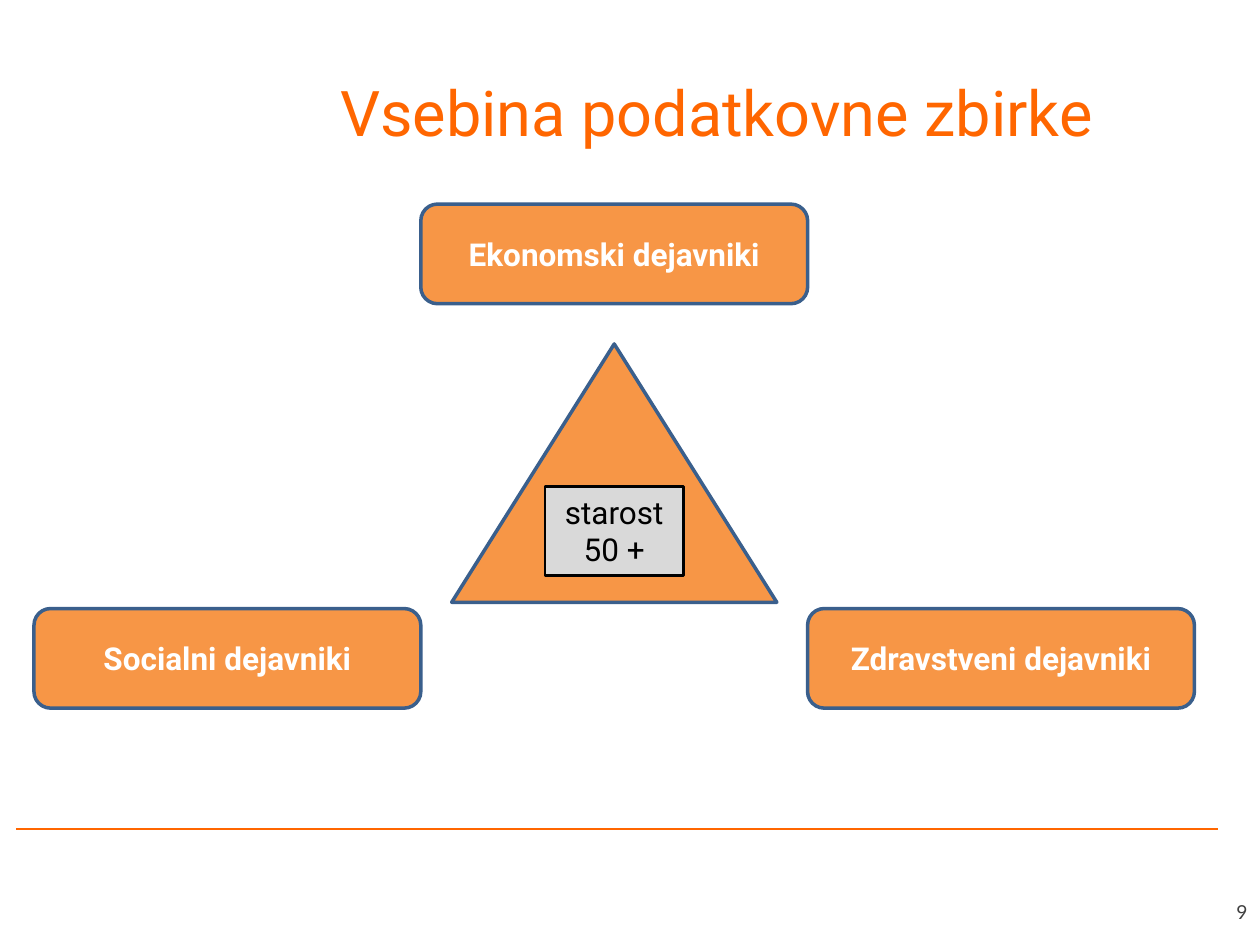
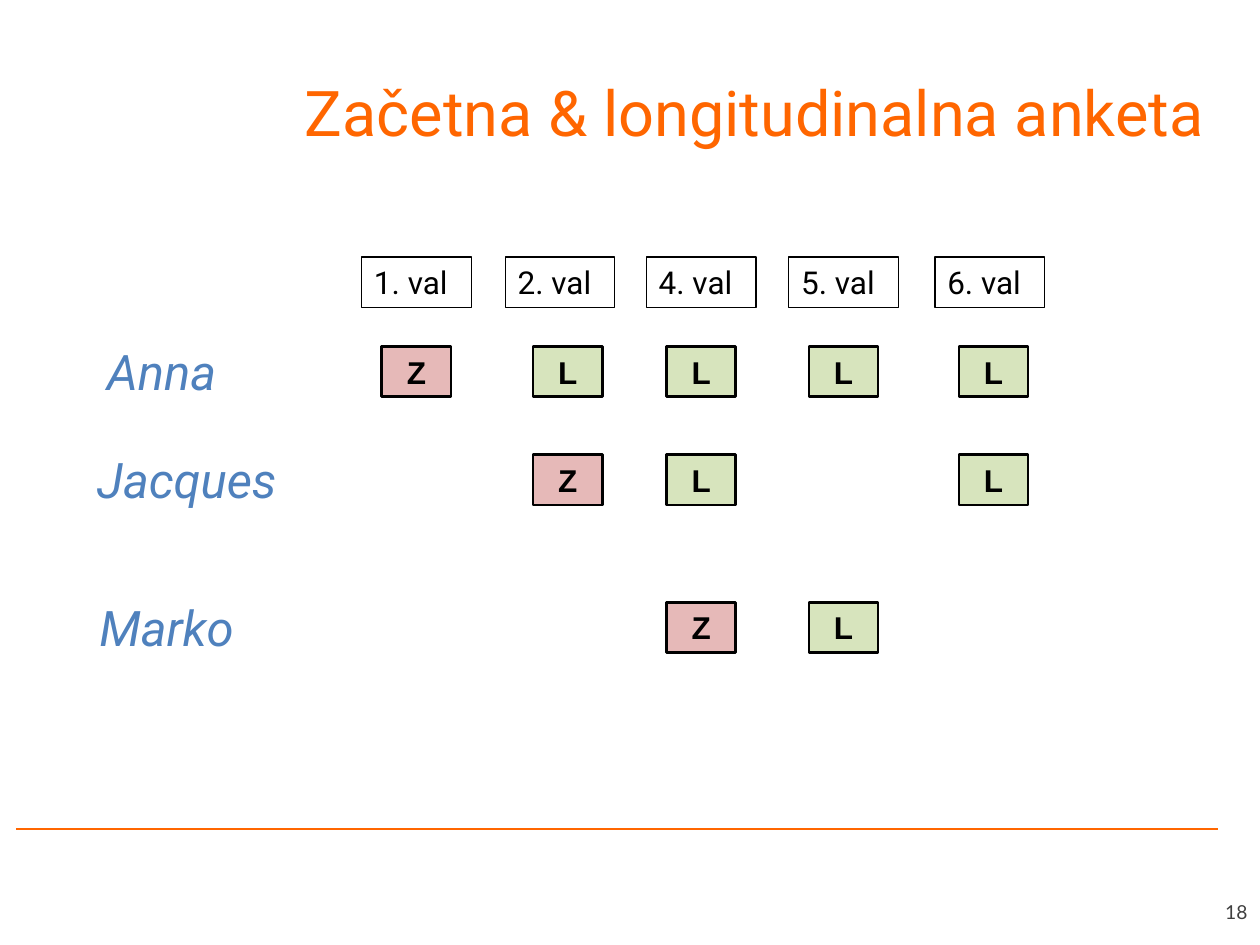
"""Build two slides on the content and the waves of a survey database."""
from lxml.etree import SubElement
from pptx import Presentation
from pptx.dml.color import RGBColor
from pptx.enum.shapes import MSO_CONNECTOR, MSO_SHAPE
from pptx.enum.text import MSO_ANCHOR, MSO_AUTO_SIZE, PP_ALIGN
from pptx.oxml.ns import qn
from pptx.util import Inches, Pt

ORANGE, BLACK, WHITE, BLUE, GRAY = "FF6600", "000000", "FFFFFF", "4F81BD", "404040"
FACTOR_FILL, FACTOR_LINE, AGE_FILL = "F79646", "3A5F8C", "D9D9D9"
MARK_FILLS = {"Z": "E6B9B8", "L": "D7E4BD"}

FACTORS_TITLE = ("Vsebina podatkovne zbirke", 2.6, 6.89)
FACTORS_PAGE = "9"
FACTORS = [
    ("Ekonomski dejavniki", 1, 1.62),
    ("Socialni dejavniki", 0, 4.83),
    ("Zdravstveni dejavniki", 2, 4.83),
]
AGE = "starost 50 +"

WAVES_TITLE = ("Začetna & longitudinalna anketa", 2.32, 7.35)
WAVES_PAGE = "18"
WAVES = [
    ("1. val", 2.87, 3.03),
    ("2. val", 4.01, 4.23),
    ("4. val", 5.13, 5.29),
    ("5. val", 6.26, 6.42),
    ("6. val", 7.42, 7.61),
]
PEOPLE = [
    ("Anna", 0.75, 2.66, "ZLLLL"),
    ("Jacques", 0.67, 3.52, " ZL L"),
    ("Marko", 0.69, 4.69, "  ZL "),
]

FACTOR_LEFT, FACTOR_WIDTH, FACTOR_HEIGHT = 0.27, 3.07, 0.79
TRIANGLE_WIDTH, AGE_WIDTH = 2.58, 1.1
WAVE_TOP, WAVE_WIDTH, BOX_HEIGHT = 2.04, 0.87, 0.4
MARK_WIDTH, MARK_DROP = 0.55, 0.09


def color(value):
    return RGBColor.from_string(value)


def write(shape, text, size=18, font="Roboto", ink=BLACK, align=PP_ALIGN.LEFT,
          anchor=MSO_ANCHOR.TOP, bold=False, italic=False):
    frame = shape.text_frame
    frame.text = text
    frame.word_wrap = True
    frame.auto_size = MSO_AUTO_SIZE.NONE
    frame.vertical_anchor = anchor
    paragraph = frame.paragraphs[0]
    paragraph.alignment = align
    style = paragraph.runs[0].font
    style.size, style.name = Pt(size), font
    style.bold, style.italic = bold, italic
    style.color.rgb = color(ink)


def add_text(slide, box, text, **style):
    write(slide.shapes.add_textbox(*map(Inches, box)), text, **style)


def add_box(slide, kind, box, fill, line, width):
    shape = slide.shapes.add_shape(kind, *map(Inches, box))
    shape.shadow.inherit = False
    if fill:
        shape.fill.solid()
        shape.fill.fore_color.rgb = color(fill)
    else:
        shape.fill.background()
    shape.line.color.rgb = color(line)
    shape.line.width = Pt(width)
    return shape


def add_slide(presentation, title, page):
    slide = presentation.slides.add_slide(presentation.slide_layouts[5])
    text, left, width = title
    heading = slide.shapes.title
    heading.left, heading.top = Inches(left), Inches(0.53)
    heading.width, heading.height = Inches(width), Inches(0.71)
    write(heading, text, size=36, ink=ORANGE)
    rule = slide.shapes.add_connector(
        MSO_CONNECTOR.STRAIGHT, *map(Inches, (0.13, 6.58, 9.67, 6.58)))
    rule.line.color.rgb = color(ORANGE)
    rule.line.width = Pt(1.5)
    SubElement(rule._element.spPr, qn("a:effectLst"))
    add_text(slide, (7.67, 6.98, 2.33, 0.52), page, size=11, font="Lato", ink=GRAY,
             align=PP_ALIGN.RIGHT, anchor=MSO_ANCHOR.MIDDLE)
    return slide


def build_factors(presentation):
    slide = add_slide(presentation, FACTORS_TITLE, FACTORS_PAGE)
    center = FACTOR_LEFT + 1.5 * FACTOR_WIDTH
    add_box(slide, MSO_SHAPE.ISOSCELES_TRIANGLE,
            (center - TRIANGLE_WIDTH / 2, 2.73, TRIANGLE_WIDTH, 2.05),
            FACTOR_FILL, FACTOR_LINE, 2)
    age = add_box(slide, MSO_SHAPE.RECTANGLE,
                  (center - AGE_WIDTH / 2, 3.86, AGE_WIDTH, 0.71), AGE_FILL, BLACK, 1.5)
    write(age, AGE, align=PP_ALIGN.CENTER)
    for name, column, top in FACTORS:
        left = FACTOR_LEFT + column * FACTOR_WIDTH
        factor = add_box(slide, MSO_SHAPE.ROUNDED_RECTANGLE,
                         (left, top, FACTOR_WIDTH, FACTOR_HEIGHT),
                         FACTOR_FILL, FACTOR_LINE, 2)
        write(factor, name, ink=WHITE, bold=True, align=PP_ALIGN.CENTER,
              anchor=MSO_ANCHOR.MIDDLE)


def build_waves(presentation):
    slide = add_slide(presentation, WAVES_TITLE, WAVES_PAGE)
    for name, left, _ in WAVES:
        wave = add_box(slide, MSO_SHAPE.RECTANGLE,
                       (left, WAVE_TOP, WAVE_WIDTH, BOX_HEIGHT), None, BLACK, 0.75)
        write(wave, name)
    for name, left, top, marks in PEOPLE:
        add_text(slide, (left, top, 1.65, 0.57), name, size=28, ink=BLUE, italic=True)
        for mark, (_, _, mark_left) in zip(marks, WAVES):
            if mark in MARK_FILLS:
                badge = add_box(slide, MSO_SHAPE.RECTANGLE,
                                (mark_left, top + MARK_DROP, MARK_WIDTH, BOX_HEIGHT),
                                MARK_FILLS[mark], BLACK, 1.5)
                write(badge, mark, font="Arial", bold=True, align=PP_ALIGN.CENTER)


def main():
    presentation = Presentation()
    presentation.slide_width, presentation.slide_height = Inches(10), Inches(7.5)
    build_factors(presentation)
    build_waves(presentation)
    presentation.save("out.pptx")


if __name__ == "__main__":
    main()
